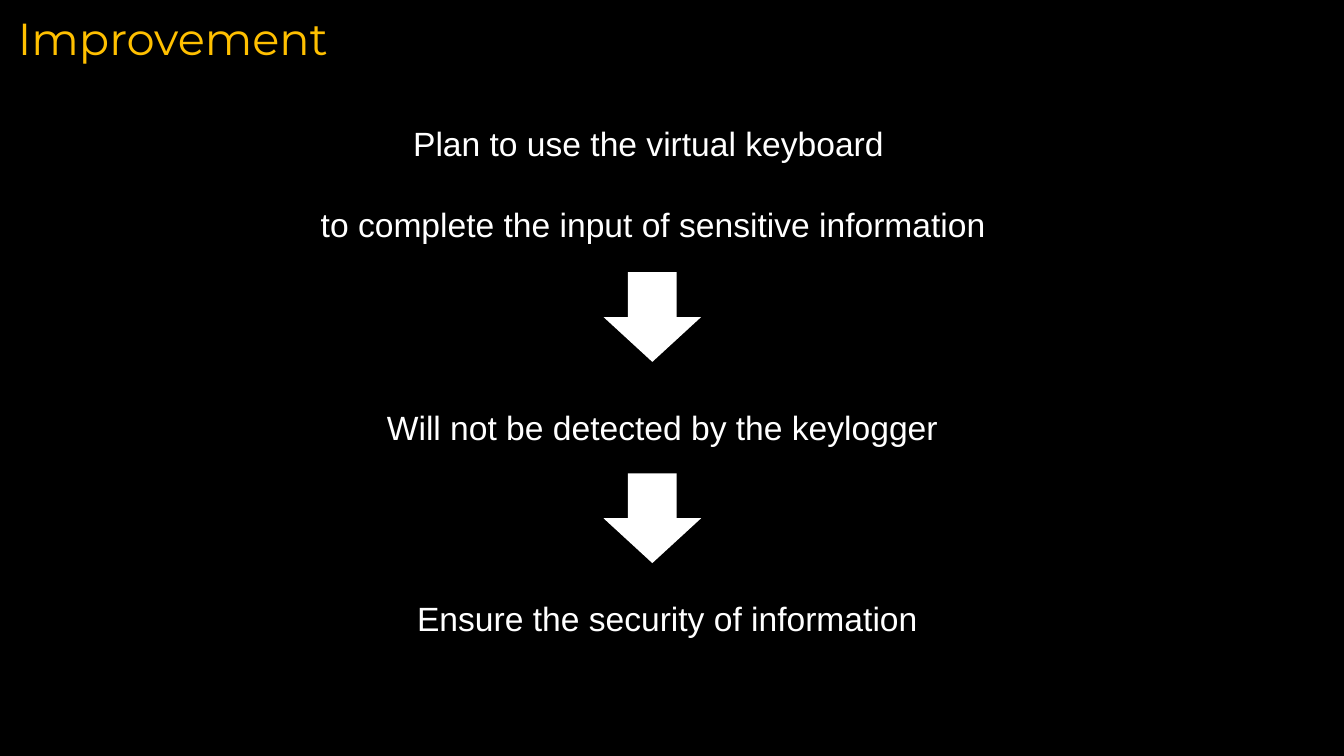
from dataclasses import dataclass

import pptx
import pptx.dml.color
import pptx.enum.shapes
import pptx.enum.text
import pptx.slide
import pptx.util

Cm = pptx.util.Cm
ALIGN = pptx.enum.text.PP_ALIGN
COLORS = {"background": "000000", "title": "FFC000", "white": "FFFFFF"}


@dataclass
class Label:
    left: float
    top: float
    width: float
    height: float
    lines: tuple[str, ...]
    align: ALIGN
    size: int = 24
    font: str = "Arial"
    color: str = "white"
    spacing: float = 2.0


# Slide content, lengths in centimetres
LABELS = [
    Label(0.2, 0.15, 21.13, 1.63, ("Improvement",), ALIGN.LEFT,
          size=32, font="Montserrat", color="title", spacing=1.0),
    Label(7.34, 1.96, 18.24, 4.04,
          ("Plan to use the virtual keyboard ",
           "to complete the input of sensitive information"), ALIGN.CENTER),
    Label(9.5, 9.12, 16.94, 2.31,
          ("Will not be detected by the keylogger",), ALIGN.JUSTIFY),
    Label(10.26, 13.92, 16.94, 2.31,
          ("Ensure the security of information",), ALIGN.JUSTIFY),
]
ARROW_LEFT, ARROW_WIDTH, ARROW_HEIGHT = 15.21, 2.46, 2.26
ARROW_TOPS = (6.86, 11.93)


def rgb(name: str) -> pptx.dml.color.RGBColor:
    return pptx.dml.color.RGBColor.from_string(COLORS[name])


def add_label(s: pptx.slide.Slide, label: Label) -> None:
    sp = s.shapes.add_textbox(Cm(label.left), Cm(label.top),
                              Cm(label.width), Cm(label.height))
    tf = sp.text_frame
    tf.word_wrap = True
    tf.auto_size = pptx.enum.text.MSO_AUTO_SIZE.SHAPE_TO_FIT_TEXT
    for i, line in enumerate(label.lines):
        p = tf.add_paragraph() if i else tf.paragraphs[0]
        p.alignment = label.align
        p.line_spacing = label.spacing
        r = p.add_run()
        r.text = line
        r.font.name = label.font
        r.font.size = pptx.util.Pt(label.size)
        r.font.color.rgb = rgb(label.color)


def add_down_arrow(s: pptx.slide.Slide, top: float) -> None:
    sp = s.shapes.add_shape(pptx.enum.shapes.MSO_SHAPE.DOWN_ARROW,
                            Cm(ARROW_LEFT), Cm(top),
                            Cm(ARROW_WIDTH), Cm(ARROW_HEIGHT))
    sp.shadow.inherit = False
    sp.fill.solid()
    sp.fill.fore_color.rgb = rgb("white")
    sp.line.fill.background()


def main() -> None:
    prs = pptx.Presentation()
    prs.slide_width, prs.slide_height = Cm(33.87), Cm(19.05)
    s = prs.slides.add_slide(prs.slide_layouts[6])

    # Background
    s.background.fill.solid()
    s.background.fill.fore_color.rgb = rgb("background")

    # Title and steps
    for label in LABELS:
        add_label(s, label)

    # Arrows between the steps
    for top in ARROW_TOPS:
        add_down_arrow(s, top)

    prs.save("out.pptx")


if __name__ == "__main__":
    main()
